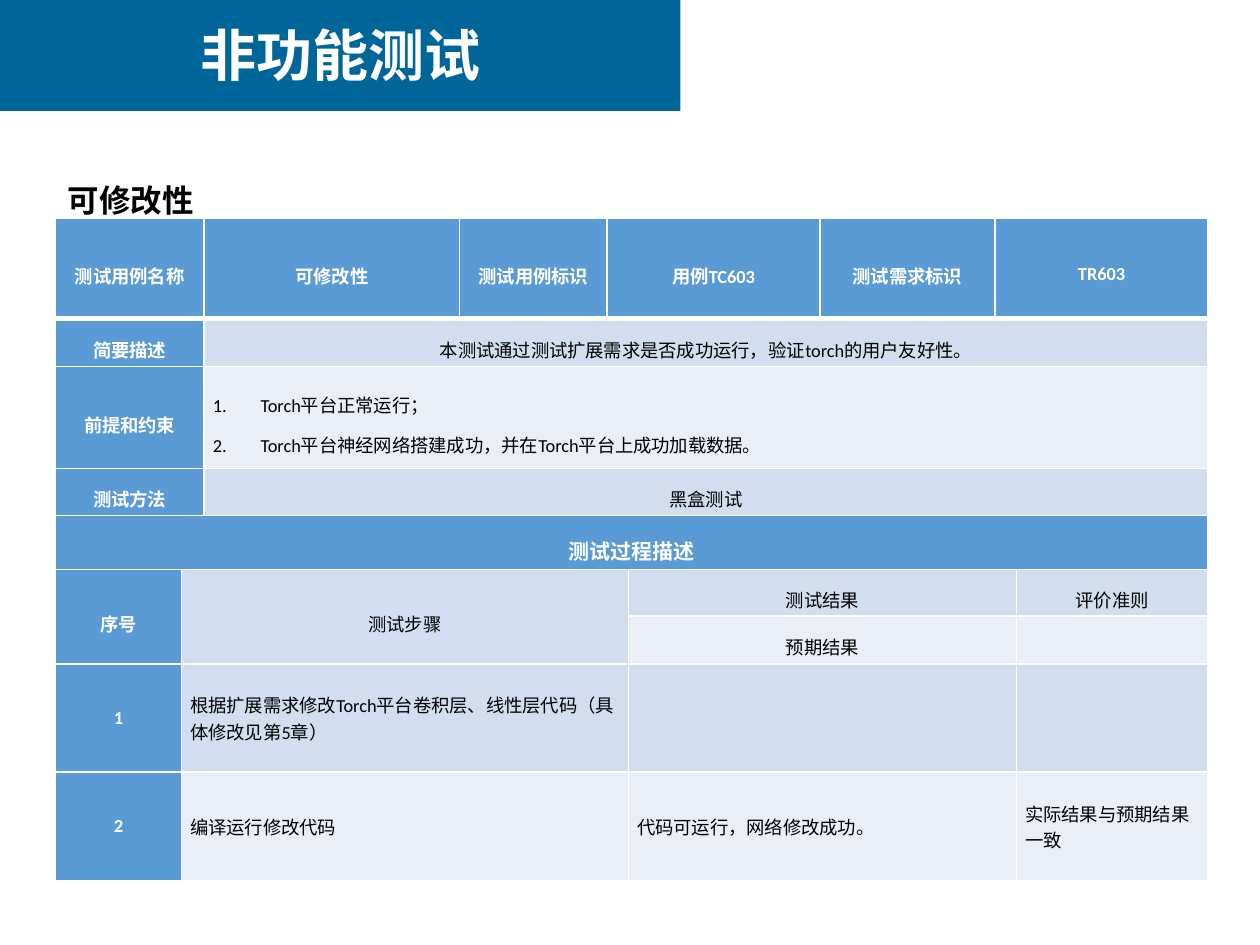
from lxml import etree
from pptx import Presentation
from pptx.dml.color import RGBColor
from pptx.enum.shapes import MSO_SHAPE
from pptx.enum.text import MSO_ANCHOR, MSO_AUTO_SIZE, PP_ALIGN
from pptx.oxml.ns import qn
from pptx.util import Inches, Pt

CENTER, LEFT = PP_ALIGN.CENTER, PP_ALIGN.LEFT
MIDDLE, TOP = MSO_ANCHOR.MIDDLE, MSO_ANCHOR.TOP
NO_AUTOFIT = MSO_AUTO_SIZE.NONE
RECTANGLE = MSO_SHAPE.RECTANGLE

NAVY = RGBColor(0x00, 0x66, 0x99)
BLUE = RGBColor(0x5B, 0x9B, 0xD5)
BAND = RGBColor(0xD2, 0xDE, 0xEF)
PALE = RGBColor(0xEA, 0xEF, 0xF7)
WHITE = RGBColor(0xFF, 0xFF, 0xFF)
BLACK = RGBColor(0x00, 0x00, 0x00)

CHINESE_FONT = "Noto Sans CJK SC"
WIDTH, HEIGHT = 10, 7.5
MARGIN = 0.44
TITLE_WIDTH = 0.54 * WIDTH
CONTENT_WIDTH = WIDTH - 2 * MARGIN

COLUMNS = [1, 0.17, 2.03, 1.17, 0.17, 1.52, 1.39, 0.17, 1.52]
ROWS = [0.8, 0.38, 0.81, 0.37, 0.43, 0.37, 0.38, 0.86, 0.86]

HEADERS = [
    (0, 0, 1, 2, "测试用例名称"),
    (0, 2, 1, 1, "可修改性"),
    (0, 3, 1, 1, "测试用例标识"),
    (0, 4, 1, 2, "用例TC603"),
    (0, 6, 1, 1, "测试需求标识"),
    (0, 7, 1, 2, "TR603"),
    (1, 0, 1, 2, "简要描述"),
    (2, 0, 1, 2, "前提和约束"),
    (3, 0, 1, 2, "测试方法"),
    (5, 0, 2, 1, "序号"),
]
CENTERED = [
    (1, 2, 1, 7, "本测试通过测试扩展需求是否成功运行，验证torch的用户友好性。", BAND),
    (3, 2, 1, 7, "黑盒测试", BAND),
    (5, 1, 2, 4, "测试步骤", BAND),
    (5, 5, 1, 3, "测试结果", BAND),
    (5, 8, 1, 1, "评价准则", BAND),
    (6, 5, 1, 3, "预期结果", PALE),
    (6, 8, 1, 1, "", PALE),
]
PRECONDITIONS = [
    "Torch平台正常运行；",
    "Torch平台神经网络搭建成功，并在Torch平台上成功加载数据。",
]
STEPS = [
    ("1", "根据扩展需求修改Torch平台卷积层、线性层代码（具体修改见第5章）", "", "", BAND),
    ("2", "编译运行修改代码", "代码可运行，网络修改成功。", "实际结果与预期结果一致", PALE),
]


def add_run(paragraph, text, size, color, bold=False, font="Calibri"):
    run = paragraph.add_run()
    run.text = text
    run.font.size = Pt(size)
    run.font.bold = bold
    run.font.name = font
    run.font.color.rgb = color
    latin = run.font._element.find(qn("a:latin"))
    east_asian = etree.Element(qn("a:ea"), typeface=CHINESE_FONT)
    latin.addnext(east_asian)


def place(shape, left, top, width, height):
    shape.left, shape.top = Inches(left), Inches(top)
    shape.width, shape.height = Inches(width), Inches(height)


def add_title(slide, text):
    title = slide.shapes.title
    place(title, 0, 0.11, TITLE_WIDTH, 0.64)
    frame = title.text_frame
    frame.auto_size = NO_AUTOFIT
    frame.vertical_anchor = MIDDLE
    paragraph = frame.paragraphs[0]
    paragraph.alignment = CENTER
    add_run(paragraph, text, 32, WHITE, True, CHINESE_FONT)
    banner = slide.shapes.add_shape(
        RECTANGLE, 0, Inches(-0.01), Inches(TITLE_WIDTH), Inches(0.89))
    banner.shadow.inherit = False
    banner.fill.solid()
    banner.fill.fore_color.rgb = NAVY
    banner.line.fill.background()
    title._element.addprevious(banner._element)


def add_subtitle(slide, text):
    box = slide.shapes.add_textbox(
        Inches(MARGIN), Inches(1.24), Inches(CONTENT_WIDTH), Inches(0.48))
    frame = box.text_frame
    frame.word_wrap = True
    frame.vertical_anchor = TOP
    paragraph = frame.paragraphs[0]
    paragraph.line_spacing = 1.5
    add_run(paragraph, text, 18, BLACK, True, "Arial")


def set_borders(cell, top, bottom):
    properties = cell._tc.get_or_add_tcPr()
    for side, width in (("L", 1), ("R", 1), ("T", top), ("B", bottom)):
        line = etree.SubElement(properties, qn("a:ln" + side), w=str(Pt(width)))
        fill = etree.SubElement(line, qn("a:solidFill"))
        etree.SubElement(fill, qn("a:srgbClr"), val=str(WHITE))


def number_paragraph(paragraph):
    properties = paragraph._p.get_or_add_pPr()
    properties.set("marL", str(Inches(0.38)))
    properties.set("indent", str(Inches(-0.38)))
    etree.SubElement(properties, qn("a:buFont"), typeface="+mj-lt")
    etree.SubElement(properties, qn("a:buAutoNum"), type="arabicPeriod")


def fill_cell(table, row, column, row_span, column_span, lines, fill,
              color=BLACK, bold=False, size=10.5, align=CENTER,
              spacing=1.5, numbered=False):
    cell = table.cell(row, column)
    if row_span * column_span > 1:
        cell.merge(table.cell(row + row_span - 1, column + column_span - 1))
    cell.fill.solid()
    cell.fill.fore_color.rgb = fill
    frame = cell.text_frame
    for index, line in enumerate(lines):
        paragraph = frame.add_paragraph() if index else frame.paragraphs[0]
        paragraph.alignment = align
        paragraph.line_spacing = spacing
        if numbered:
            number_paragraph(paragraph)
        if line:
            add_run(paragraph, line, size, color, bold)


def add_test_table(slide):
    frame = slide.shapes.add_table(
        len(ROWS), len(COLUMNS), Inches(MARGIN), Inches(1.73),
        Inches(CONTENT_WIDTH), Inches(sum(ROWS)))
    table = frame.table
    table.horz_banding = False
    for column, width in zip(table.columns, COLUMNS):
        column.width = Inches(width)
    for index, height in enumerate(ROWS):
        table.rows[index].height = Inches(height)
        for cell in table.rows[index].cells:
            cell.margin_left = cell.margin_right = Inches(0.07)
            cell.margin_top = cell.margin_bottom = 0
            cell.vertical_anchor = MIDDLE
            set_borders(cell, 3 if index == 1 else 1, 3 if index == 0 else 1)
    return table


def fill_test_table(table):
    for *area, text in HEADERS:
        fill_cell(table, *area, [text], BLUE, WHITE, True)
    fill_cell(table, 4, 0, 1, 9, ["测试过程描述"], BLUE, WHITE, True, 12)
    for *area, text, fill in CENTERED:
        fill_cell(table, *area, [text], fill)
    fill_cell(table, 2, 2, 1, 7, PRECONDITIONS, PALE, align=LEFT, numbered=True)
    for row, (number, action, result, criterion, fill) in enumerate(STEPS, 7):
        fill_cell(table, row, 0, 1, 1, [number], BLUE, WHITE, True, spacing=1.0)
        for column, span, text in ((1, 4, action), (5, 3, result), (8, 1, criterion)):
            fill_cell(table, row, column, 1, span, [text], fill,
                      align=LEFT, spacing=1.0)


def main():
    presentation = Presentation()
    presentation.slide_width = Inches(WIDTH)
    presentation.slide_height = Inches(HEIGHT)
    slide = presentation.slides.add_slide(presentation.slide_layouts[5])
    add_title(slide, "非功能测试")
    add_subtitle(slide, "可修改性")
    fill_test_table(add_test_table(slide))
    presentation.save("out.pptx")


main()
